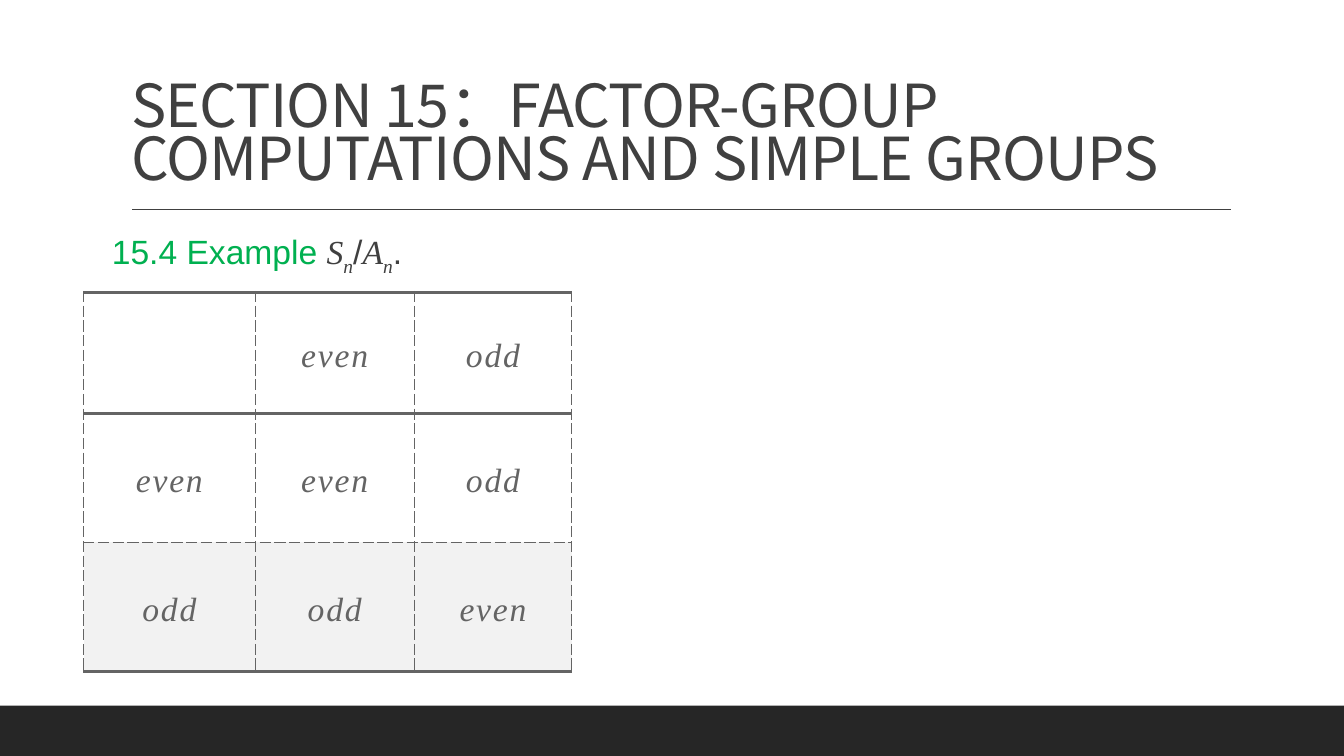
"""Builds the slide on the factor group of S_n by A_n."""
from dataclasses import dataclass

import pptx
import pptx.dml.color
import pptx.enum.shapes
import pptx.enum.text
import pptx.oxml
import pptx.oxml.ns
import pptx.util

Inches = pptx.util.Inches
Pt = pptx.util.Pt
RGBColor = pptx.dml.color.RGBColor
PP_ALIGN = pptx.enum.text.PP_ALIGN
MSO_ANCHOR = pptx.enum.text.MSO_ANCHOR

INK = RGBColor(0x40, 0x40, 0x40)
BAND = RGBColor(0x26, 0x26, 0x26)
GREEN = RGBColor(0x00, 0xB0, 0x50)
GREY = RGBColor(0x64, 0x64, 0x64)
WHITE = RGBColor(0xFF, 0xFF, 0xFF)
SHADE = RGBColor(0xF2, 0xF2, 0xF2)
SANS, SERIF, HEADING = "Arial", "Times New Roman", "Noto Sans CJK SC"

PARITIES = [["", "even", "odd"], ["even", "even", "odd"], ["odd", "odd", "even"]]
COLUMN_WIDTHS = [1.7, 1.58, 1.56]
ROW_HEIGHTS = [1.2, 1.28, 1.28]


@dataclass
class Border:
    width: float
    dash: str


@dataclass
class Piece:
    text: str
    font: str = SANS
    color: RGBColor = INK
    italic: bool = False
    baseline: int = 0


RULE = Border(2.25, "solid")
DASHED = Border(0.75, "sysDash")
EXAMPLE = [
    Piece("15.4 Example ", color=GREEN),
    Piece("S", SERIF, italic=True),
    Piece("n", SERIF, italic=True, baseline=-25),
    Piece("/"),
    Piece("A", SERIF, italic=True),
    Piece("n", SERIF, italic=True, baseline=-25),
    Piece("."),
]


def add_text(paragraph, text: str, *, font: str, size: float, color: RGBColor,
             italic: bool = False, spacing: float = 0, baseline: int = 0) -> None:
    run = paragraph.add_run()
    run.text = text
    run.font.name, run.font.size = font, Pt(size)
    run.font.italic = italic
    run.font.color.rgb = color
    properties = run.font._element
    if spacing:
        properties.set("spc", str(round(spacing * 100)))
    if baseline:
        properties.set("baseline", str(baseline * 1000))
    if font == HEADING:
        east_asian = pptx.oxml.parse_xml(
            f'<a:ea {pptx.oxml.ns.nsdecls("a")} typeface="{font}"/>')
        properties.find(pptx.oxml.ns.qn("a:latin")).addnext(east_asian)


def set_borders(cell, left: Border, right: Border, top: Border, bottom: Border) -> None:
    properties = cell._tc.get_or_add_tcPr()
    sides = zip("LRTB", (left, right, top, bottom))
    for position, (side, border) in enumerate(sides):
        properties.insert(position, pptx.oxml.parse_xml(
            f'<a:ln{side} {pptx.oxml.ns.nsdecls("a")} w="{Pt(border.width)}">'
            f'<a:solidFill><a:srgbClr val="{GREY}"/></a:solidFill>'
            f'<a:prstDash val="{border.dash}"/></a:ln{side}>'))


def add_frame(slide) -> None:
    band = slide.shapes.add_shape(pptx.enum.shapes.MSO_SHAPE.RECTANGLE,
                                  Inches(0), Inches(7), Inches(13.33), Inches(0.5))
    band.shadow.inherit = False
    band.fill.solid()
    band.fill.fore_color.rgb = BAND
    band.line.fill.background()
    underline = slide.shapes.add_connector(
        pptx.enum.shapes.MSO_CONNECTOR.STRAIGHT,
        Inches(1.31), Inches(2.08), Inches(12.21), Inches(2.08))
    underline.line.color.rgb = INK
    underline.line.width = Pt(1)
    underline._element.spPr.append(
        pptx.oxml.parse_xml(f'<a:effectLst {pptx.oxml.ns.nsdecls("a")}/>'))


def add_title(slide) -> None:
    title = slide.shapes.title
    title.left, title.top = Inches(1.2), Inches(0.31)
    title.width, title.height = Inches(11), Inches(1.59)
    frame = title.text_frame
    frame.auto_size = pptx.enum.text.MSO_AUTO_SIZE.NONE
    frame.word_wrap = True
    frame.vertical_anchor = MSO_ANCHOR.BOTTOM
    frame.margin_bottom = 0
    heading = frame.paragraphs[0]
    heading.alignment = PP_ALIGN.LEFT
    heading.line_spacing = 0.75
    add_text(heading, "SECTION 15：FACTOR-GROUP COMPUTATIONS AND SIMPLE GROUPS",
             font=HEADING, size=42.3, color=INK, spacing=-0.5)


def add_example(slide) -> None:
    frame = slide.shapes.add_textbox(
        Inches(1.11), Inches(2.2), Inches(11), Inches(0.82)).text_frame
    frame.word_wrap = True
    frame.margin_left = frame.margin_right = 0
    example = frame.paragraphs[0]
    example.line_spacing = 1.1
    for piece in EXAMPLE:
        add_text(example, piece.text, font=piece.font, size=24, color=piece.color,
                 italic=piece.italic, baseline=piece.baseline)


def add_parity_table(slide) -> None:
    table = slide.shapes.add_table(
        len(ROW_HEIGHTS), len(COLUMN_WIDTHS), Inches(0.83), Inches(2.9),
        Inches(sum(COLUMN_WIDTHS)), Inches(sum(ROW_HEIGHTS))).table
    table.first_row = table.horz_banding = False
    for column, width in zip(table.columns, COLUMN_WIDTHS):
        column.width = Inches(width)
    for row, height in zip(table.rows, ROW_HEIGHTS):
        row.height = Inches(height)
    row_rules = [RULE, RULE, DASHED, RULE]
    for r, parities in enumerate(PARITIES):
        for c, parity in enumerate(parities):
            cell = table.cell(r, c)
            cell.fill.solid()
            cell.fill.fore_color.rgb = SHADE if r == 2 else WHITE
            set_borders(cell, DASHED, DASHED, row_rules[r], row_rules[r + 1])
            cell.vertical_anchor = MSO_ANCHOR.MIDDLE
            cell.margin_left = cell.margin_right = Inches(0.35)
            cell.margin_top = cell.margin_bottom = Inches(0.24)
            if parity:
                entry = cell.text_frame.paragraphs[0]
                entry.alignment = PP_ALIGN.CENTER
                entry.line_spacing = 1.2
                add_text(entry, parity, font=SERIF, size=24, color=GREY,
                         italic=True, spacing=1.3)


def main() -> None:
    deck = pptx.Presentation()
    deck.slide_width, deck.slide_height = Inches(13.33), Inches(7.5)
    slide = deck.slides.add_slide(deck.slide_layouts.get_by_name("Title Only"))
    add_frame(slide)
    add_title(slide)
    add_example(slide)
    add_parity_table(slide)
    deck.save("out.pptx")


if __name__ == "__main__":
    main()
